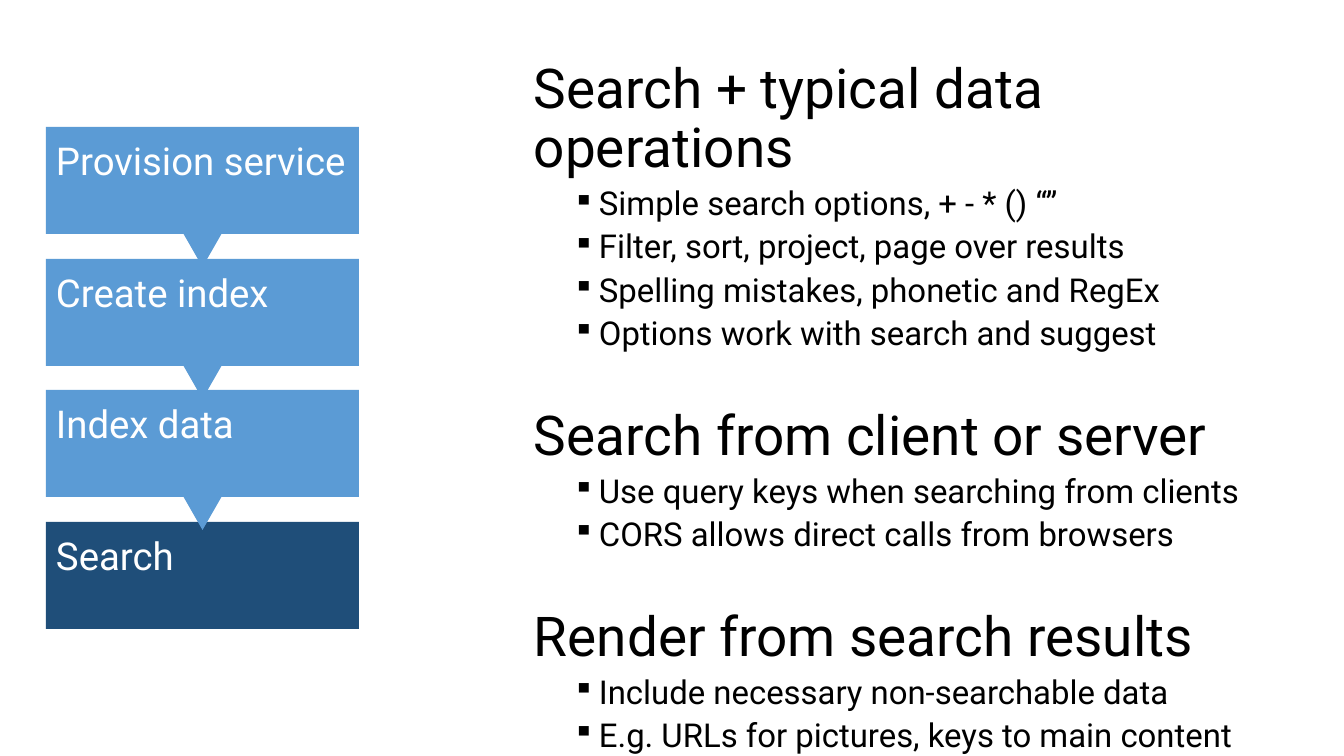
from lxml.etree import SubElement
from pptx import Presentation
from pptx.dml.color import RGBColor
from pptx.enum.shapes import MSO_SHAPE
from pptx.enum.text import MSO_ANCHOR, PP_ALIGN
from pptx.oxml.ns import qn
from pptx.util import Emu, Pt

COLORS = {"step": "5B9BD5", "current": "1F4E79", "light": "FFFFFF", "dark": "000000"}
EMU_PER_PX = 914400 / 100.8

STEPS = ["Provision service", "Create index", "Index data", "Search"]
TOPICS = [
    ("Search + typical data operations", [
        "Simple search options, + - * () “”",
        "Filter, sort, project, page over results",
        "Spelling mistakes, phonetic and RegEx",
        "Options work with search and suggest",
    ]),
    ("Search from client or server", [
        "Use query keys when searching from clients",
        "CORS allows direct calls from browsers",
    ]),
    ("Render from search results", [
        "Include necessary non-searchable data",
        "E.g. URLs for pictures, keys to main content",
    ]),
]


def px(length):
    return Emu(round(length * EMU_PER_PX))


class SlideBuilder:
    font_name = "Roboto"

    def __init__(self, slide):
        self.slide = slide

    def style(self, paragraph, size, color):
        paragraph.font.name = self.font_name
        paragraph.font.size = Pt(size)
        paragraph.font.color.rgb = RGBColor.from_string(COLORS[color])

    def shape(self, kind, left, top, width, height, color):
        shape = self.slide.shapes.add_shape(kind, px(left), px(top), px(width), px(height))
        shape.shadow.inherit = False
        shape.fill.solid()
        shape.fill.fore_color.rgb = RGBColor.from_string(COLORS[color])
        shape.line.fill.background()
        return shape

    def step(self, text, left, top, width, height, color):
        shape = self.shape(MSO_SHAPE.RECTANGLE, left, top, width, height, color)
        frame = shape.text_frame
        frame.word_wrap = True
        frame.vertical_anchor = MSO_ANCHOR.TOP
        frame.margin_left = frame.margin_top = px(10)
        frame.margin_right = frame.margin_bottom = px(4)
        paragraph = frame.paragraphs[0]
        paragraph.text = text
        paragraph.alignment = PP_ALIGN.LEFT
        self.style(paragraph, 27.4, "light")

    def pointer(self, left, top, width, height):
        shape = self.shape(MSO_SHAPE.ISOSCELES_TRIANGLE, left, top, width, height, "step")
        shape.rotation = 180

    def outline(self, topics, left, top, width, height):
        box = self.slide.shapes.add_textbox(px(left), px(top), px(width), px(height))
        frame = box.text_frame
        frame.word_wrap = True
        for index, (heading, points) in enumerate(topics):
            paragraph = frame.add_paragraph() if index else frame.paragraphs[0]
            self.line(paragraph, heading, 39.2, 39.5 if index else 0)
            for point in points:
                paragraph = frame.add_paragraph()
                self.line(paragraph, point, 23.5, 5.5)
                self.bullet(paragraph)

    def line(self, paragraph, text, size, space_before):
        paragraph.text = text
        paragraph.line_spacing = 0.9
        paragraph.space_before = Pt(space_before)
        self.style(paragraph, size, "dark")

    def bullet(self, paragraph):
        paragraph.level = 1
        properties = paragraph._p.get_or_add_pPr()
        properties.set("marL", str(px(65)))
        properties.set("indent", str(px(-26)))
        bullet_size = SubElement(properties, qn("a:buSzPct"), val="90000")
        bullet_char = SubElement(properties, qn("a:buChar"), char="▪")
        # Bullet settings come before the default run properties
        default_run = properties.find(qn("a:defRPr"))
        default_run.addprevious(bullet_size)
        default_run.addprevious(bullet_char)


def main():
    presentation = Presentation()
    presentation.slide_width = px(1344)
    presentation.slide_height = px(756)
    builder = SlideBuilder(presentation.slides.add_slide(presentation.slide_layouts[6]))

    # Process steps, then the pointers that overlap them
    tops = [round(127 + 131.67 * index) for index in range(len(STEPS))]
    for text, top in zip(STEPS, tops):
        color = "current" if text == STEPS[-1] else "step"
        builder.step(text, 46, top, 313, 107, color)
    for top in tops[:-1]:
        builder.pointer(179, top + 99, 47, 41)

    # Topics with their points
    builder.outline(TOPICS, 524, 56, 790, 642)

    presentation.save("out.pptx")


if __name__ == "__main__":
    main()
